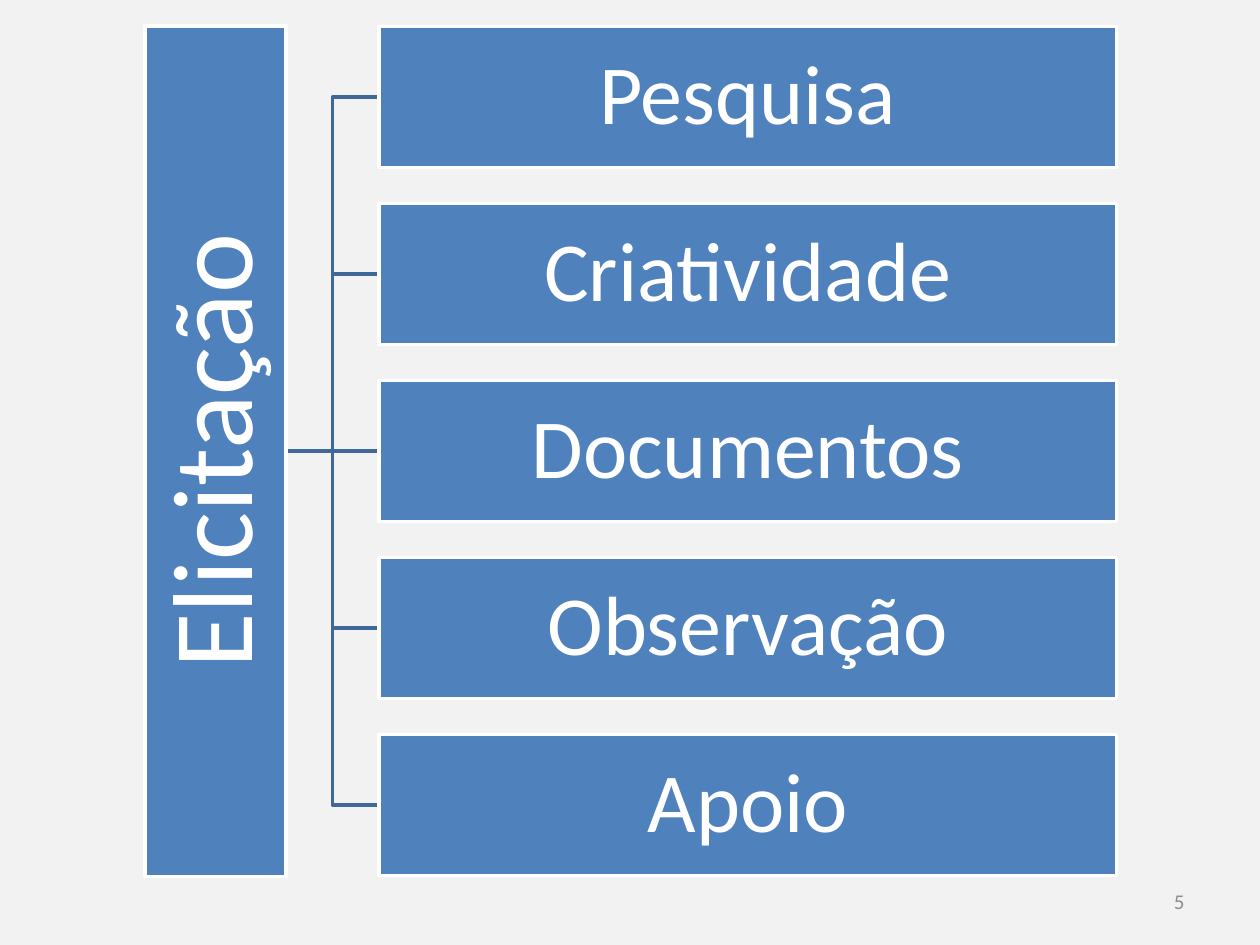
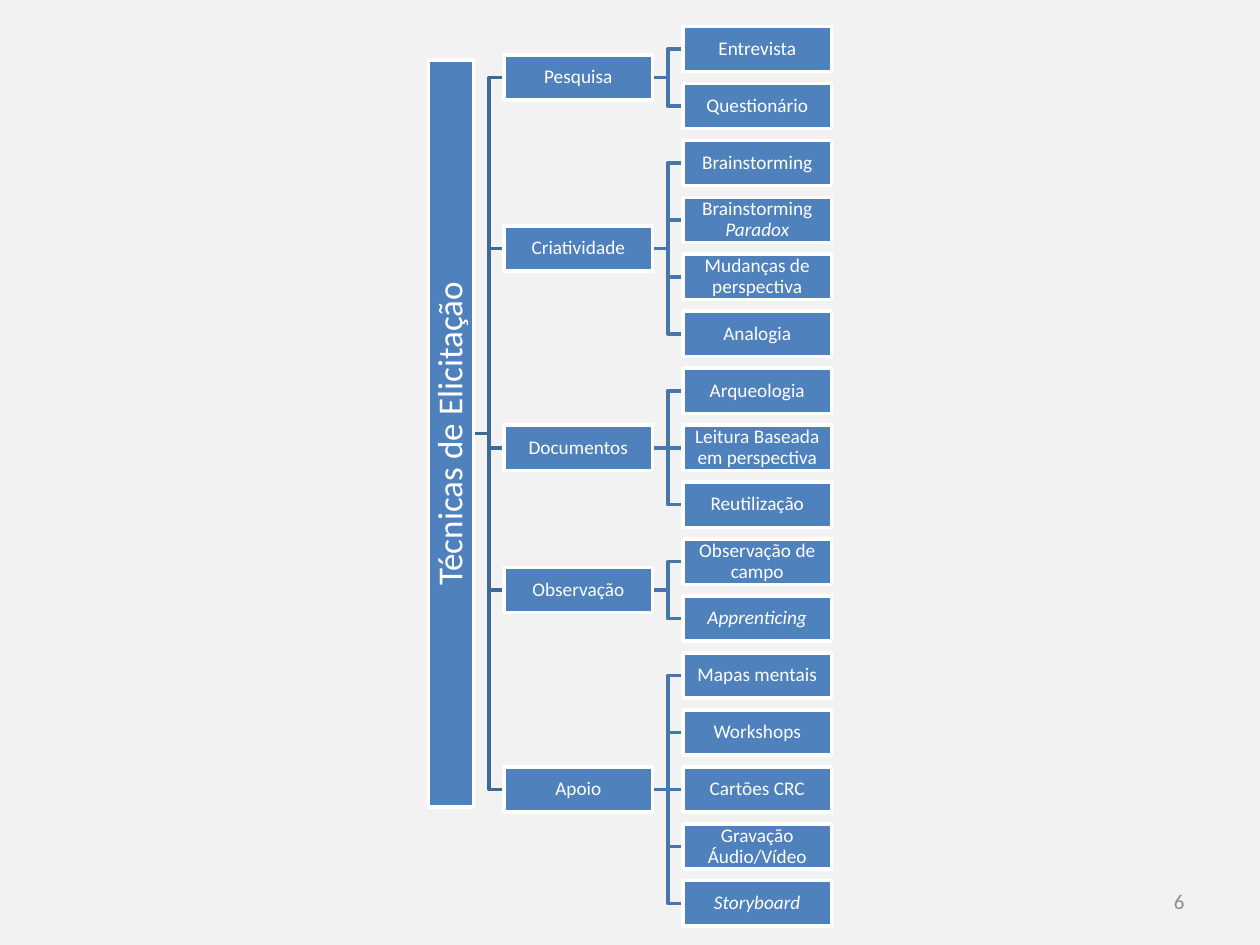
from dataclasses import dataclass

from pptx import Presentation
from pptx.dml.color import RGBColor
from pptx.enum.shapes import MSO_CONNECTOR, MSO_SHAPE
from pptx.enum.text import MSO_ANCHOR, PP_ALIGN
from pptx.oxml.ns import qn
from pptx.slide import Slide
from pptx.text.text import TextFrame
from pptx.util import Inches, Pt
from lxml.etree import SubElement

PAPER = RGBColor(0xF2, 0xF2, 0xF2)
BLUE = RGBColor(0x4F, 0x81, 0xBD)
WHITE = RGBColor(0xFF, 0xFF, 0xFF)
GRAY = RGBColor(0x8C, 0x8C, 0x8C)
LINES = (RGBColor(0x3F, 0x67, 0x97), RGBColor(0x48, 0x75, 0xAC))
FONT = "Calibri"
STROKE = Pt(2)


@dataclass(frozen=True)
class Node:
    """A labelled box of the tree, with an optional italic ending."""
    text: str
    slant: str = ""
    kids: tuple["Node", ...] = ()


@dataclass(frozen=True)
class Level:
    """Left edge, width, text size and inset of one column of boxes."""
    left: float
    width: float
    size: int
    inset: float

    @property
    def right(self) -> float:
        """Return the right edge."""
        return self.left + self.width


@dataclass(frozen=True)
class Plan:
    """Measures of one tree, whose root stands upright."""
    page: int
    root: Node
    levels: tuple[Level, ...]
    tall: float
    high: float
    first: float
    last: float


@dataclass(frozen=True)
class Spot:
    """A node with its depth, its vertical middle and its placed children."""
    node: Node
    depth: int
    mid: float
    kids: tuple["Spot", ...]


def leaves(node: Node) -> int:
    """Count the end nodes below a node."""
    return sum(map(leaves, node.kids)) or 1


def place(plan: Plan) -> Spot:
    """Space the leaves evenly and centre each parent on its children."""
    step = (plan.last - plan.first) / (leaves(plan.root) - 1)

    def settle(node: Node, depth: int, row: int) -> Spot:
        """Place a node whose first leaf is in the given row."""
        kids = []
        mid = plan.first + row * step
        for kid in node.kids:
            kids.append(settle(kid, depth + 1, row))
            row += leaves(kid)
        if kids:
            mid = (kids[0].mid + kids[-1].mid) / 2
        return Spot(node, depth, mid, tuple(kids))

    return settle(plan.root, 0, 0)


def write(frame: TextFrame, node: Node, size: int, color: RGBColor,
          align: PP_ALIGN) -> None:
    """Write a label in the middle of a frame."""
    frame.word_wrap = True
    frame.vertical_anchor = MSO_ANCHOR.MIDDLE
    para = frame.paragraphs[0]
    para.alignment = align
    font = para.font
    font.name, font.size = FONT, Pt(size)
    font.color.rgb = color
    if node.text:
        para.add_run().text = node.text
    if node.slant:
        run = para.add_run()
        run.text = node.slant
        run.font.italic = True


def draw_link(slide: Slide, x: float, y: float, to_x: float, to_y: float,
              color: RGBColor) -> None:
    """Join two boxes with a straight or bent line."""
    if abs(y - to_y) < 0.01:
        link = slide.shapes.add_connector(
            MSO_CONNECTOR.STRAIGHT, Inches(x), Inches(y), Inches(to_x), Inches(y))
        SubElement(link._element.spPr, qn("a:effectLst"))
    else:
        bend = Inches((x + to_x) / 2)
        pen = slide.shapes.build_freeform(Inches(x), Inches(y))
        pen.add_line_segments(
            [(bend, Inches(y)), (bend, Inches(to_y)), (Inches(to_x), Inches(to_y))],
            close=False)
        link = pen.convert_to_shape()
        link.fill.background()
        link.shadow.inherit = False
    link.line.color.rgb = color
    link.line.width = STROKE


def draw_links(slide: Slide, plan: Plan, spot: Spot) -> None:
    """Draw all lines below a spot."""
    for kid in spot.kids:
        draw_link(slide, plan.levels[spot.depth].right, spot.mid,
                  plan.levels[kid.depth].left, kid.mid, LINES[spot.depth])
        draw_links(slide, plan, kid)


def draw_boxes(slide: Slide, plan: Plan, spot: Spot) -> None:
    """Draw the box of a spot and those below it."""
    level = plan.levels[spot.depth]
    width, high = (level.width, plan.high) if spot.depth else (plan.tall, level.width)
    left = level.left + (level.width - width) / 2
    box = slide.shapes.add_shape(
        MSO_SHAPE.RECTANGLE, Inches(left), Inches(spot.mid - high / 2),
        Inches(width), Inches(high))
    box.rotation = 0 if spot.depth else 270
    box.shadow.inherit = False
    box.fill.solid()
    box.fill.fore_color.rgb = BLUE
    box.line.color.rgb = WHITE
    box.line.width = STROKE
    frame = box.text_frame
    frame.margin_left = frame.margin_right = Inches(level.inset)
    frame.margin_top = frame.margin_bottom = Inches(level.inset)
    write(frame, spot.node, level.size, WHITE, PP_ALIGN.CENTER)
    frame.paragraphs[0].line_spacing = 0.9
    for kid in spot.kids:
        draw_boxes(slide, plan, kid)


def draw_page(deck: Presentation, plan: Plan) -> None:
    """Add a slide with its number and its tree."""
    slide = deck.slides.add_slide(deck.slide_layouts[6])
    slide.background.fill.solid()
    slide.background.fill.fore_color.rgb = PAPER
    foot = slide.shapes.add_textbox(
        Inches(7.17), Inches(6.95), Inches(2.33), Inches(0.4))
    write(foot.text_frame, Node(str(plan.page)), 12, GRAY, PP_ALIGN.RIGHT)
    tree = place(plan)
    draw_links(slide, plan, tree)
    draw_boxes(slide, plan, tree)


GROUPS = (
    Node("Pesquisa", kids=(Node("Entrevista"), Node("Questionário"))),
    Node("Criatividade", kids=(
        Node("Brainstorming"), Node("Brainstorming ", "Paradox"),
        Node("Mudanças de perspectiva"), Node("Analogia"))),
    Node("Documentos", kids=(
        Node("Arqueologia"), Node("Leitura Baseada em perspectiva"),
        Node("Reutilização"))),
    Node("Observação", kids=(Node("Observação de campo"), Node("", "Apprenticing"))),
    Node("Apoio", kids=(
        Node("Mapas mentais"), Node("Workshops"), Node("Cartões CRC"),
        Node("Gravação Áudio/Vídeo"), Node("", "Storyboard"))),
)

PLANS = (
    Plan(5, Node("Elicitação", kids=tuple(Node(group.text) for group in GROUPS)),
         (Level(1.15, 1.12, 65, 0.05), Level(3.01, 5.85, 48, 0.03)),
         tall=6.75, high=1.12, first=0.77, last=6.39),
    Plan(6, Node("Técnicas de Elicitação", kids=GROUPS),
         (Level(3.4, 0.36, 20, 0.01), Level(4, 1.18, 11, 0.01),
          Level(5.42, 1.18, 11, 0.01)),
         tall=5.93, high=0.36, first=0.39, last=7.17),
)


def main() -> None:
    """Build and save the slides."""
    deck = Presentation()
    deck.slide_width, deck.slide_height = Inches(10), Inches(7.5)
    for plan in PLANS:
        draw_page(deck, plan)
    deck.save("out.pptx")


if __name__ == "__main__":
    main()
